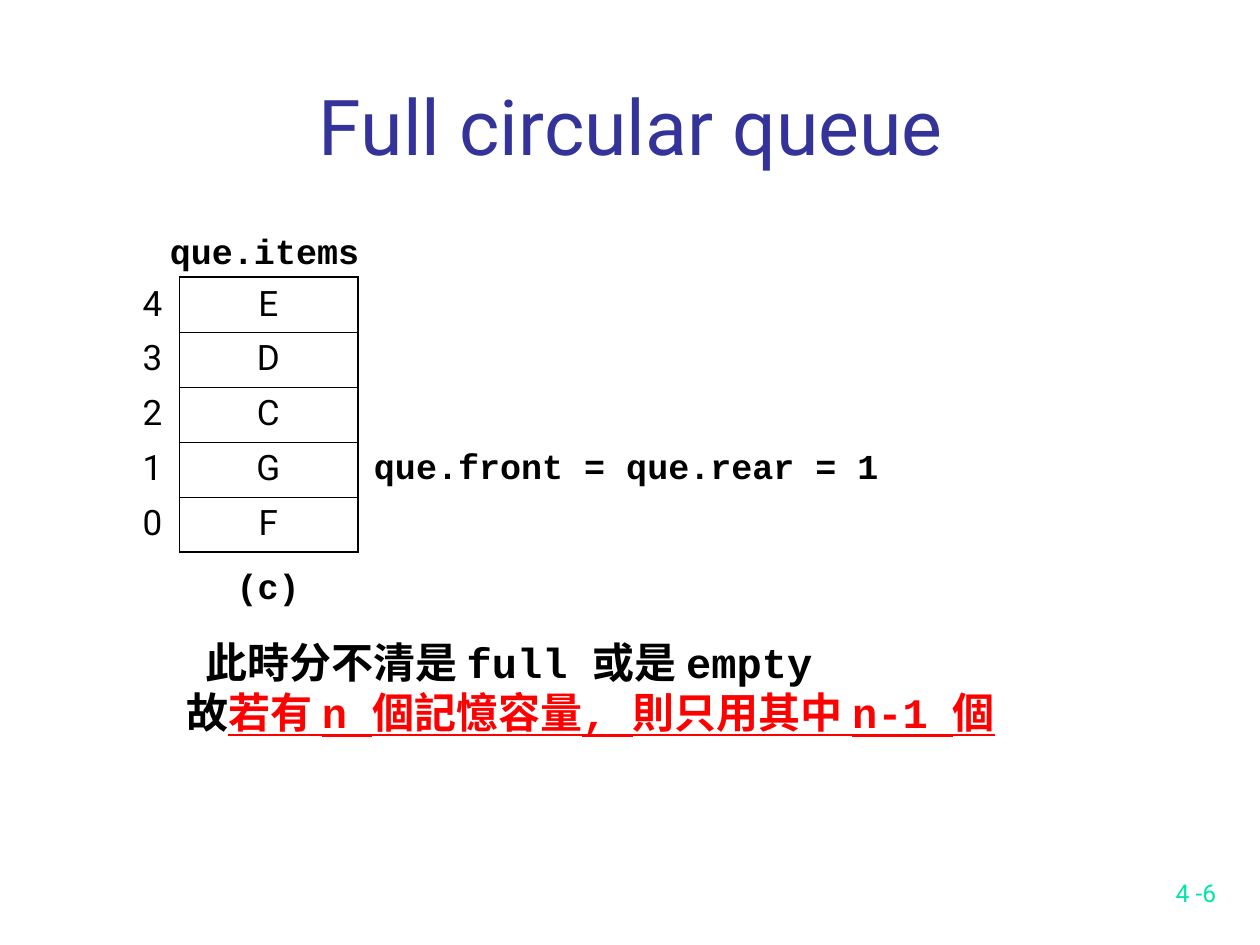
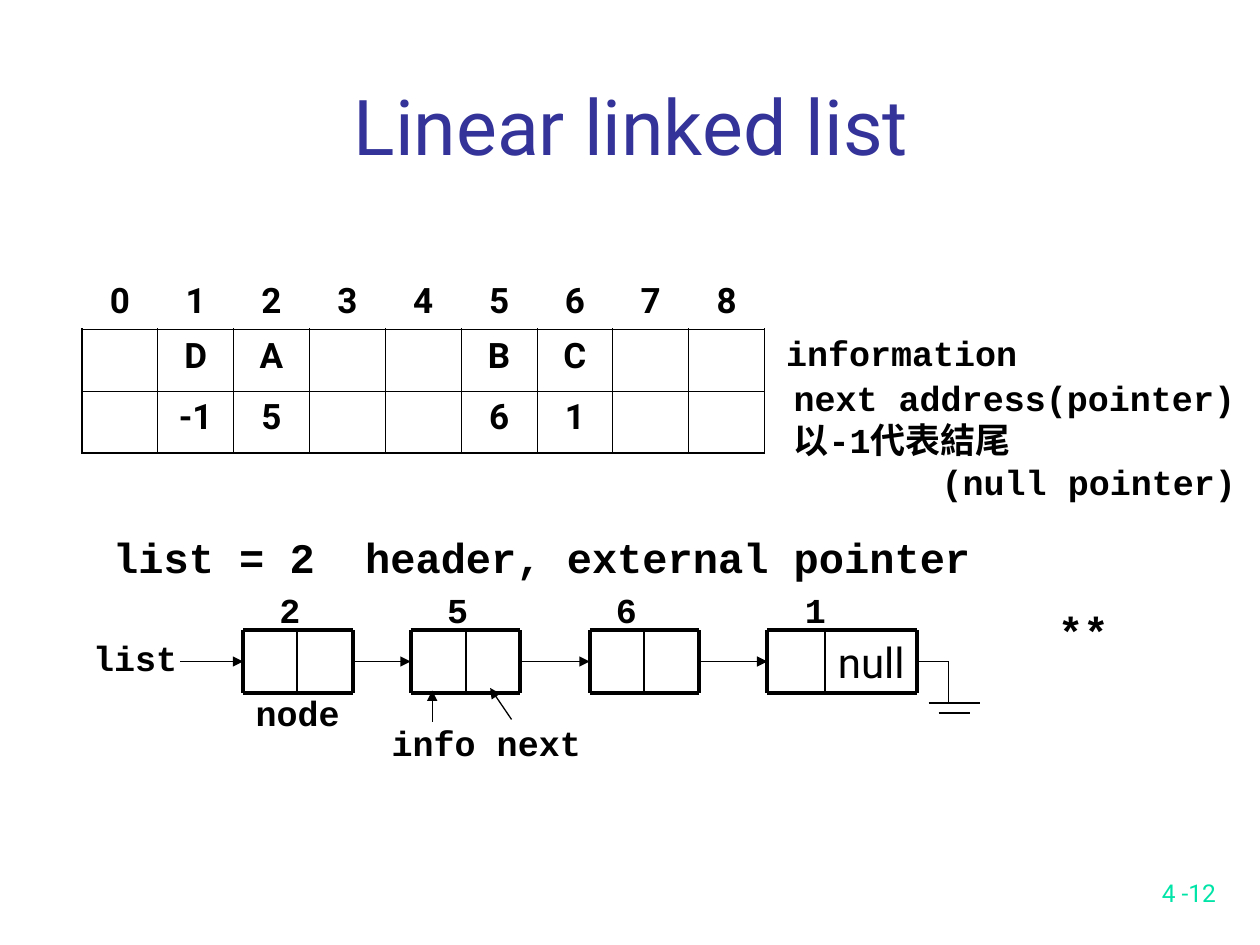
from lxml import etree
from pptx import Presentation
from pptx.dml.color import RGBColor
from pptx.enum import shapes, text
from pptx.oxml import ns
from pptx.util import Inches, Pt

BLACK = RGBColor(0, 0, 0)
TITLE_BLUE = RGBColor(0x33, 0x33, 0x99)
PAGE_GREEN = RGBColor(0, 0xE4, 0xA8)
RED = RGBColor(0xFF, 0, 0)
SANS, MONO = "Roboto", "Courier New"
THIN, THICK = 0.45, 1.08
NO_STYLE = "{2D5ABB26-0587-4C30-8999-92F81FD0307C}"
NODE_TOP, NODE_BOTTOM = 5, 5.5
NODE_MIDDLE = (NODE_TOP + NODE_BOTTOM) / 2


def sub(parent, tag, **attributes):
    return etree.SubElement(parent, ns.qn(tag), attributes)


def write(paragraph, words, font=MONO, size=20, color=BLACK, bold=True,
          underline=False, align=text.PP_ALIGN.LEFT):
    """Append a formatted run to a paragraph."""
    paragraph.alignment = align
    run = paragraph.add_run()
    run.text = words
    run.font.name, run.font.size = font, Pt(size)
    run.font.bold, run.font.underline = bold, underline
    run.font.color.rgb = color


def add_frame(slide, left, top, width, height, anchor=text.MSO_ANCHOR.TOP):
    frame = slide.shapes.add_textbox(
        Inches(left), Inches(top), Inches(width), Inches(height)).text_frame
    frame.word_wrap = True
    frame.vertical_anchor = anchor
    return frame


def add_label(slide, words, left, top, width, height=0.44, **style):
    paragraph = add_frame(slide, left, top, width, height).paragraphs[0]
    write(paragraph, words, **style)
    return paragraph


def add_slide(deck, heading, page):
    """Add a slide with its title and page number."""
    slide = deck.slides.add_slide(deck.slide_layouts[5])
    title = slide.shapes.title
    title.left, title.top = Inches(0.75), Inches(0.41)
    title.width, title.height = Inches(8.52), Inches(1)
    title.text_frame.vertical_anchor = text.MSO_ANCHOR.BOTTOM
    write(title.text_frame.paragraphs[0], heading, SANS, 44, TITLE_BLUE,
          bold=False, align=text.PP_ALIGN.CENTER)
    number = add_frame(slide, 7.67, 6.75, 2.08, 0.5, text.MSO_ANCHOR.BOTTOM)
    write(number.paragraphs[0], page, SANS, 14, PAGE_GREEN,
          bold=False, align=text.PP_ALIGN.RIGHT)
    return slide


def set_borders(cell, **widths):
    """Draw the sides L, R, T and B, given in that order, in points."""
    properties = cell._tc.get_or_add_tcPr()
    for side, width in widths.items():
        line = sub(properties, f"a:ln{side}", w=str(Pt(width)))
        sub(sub(line, "a:solidFill"), "a:srgbClr", val=str(BLACK))


def add_array(slide, rows, left, top, widths, heights, first_row=0,
              first_col=0, left_edge=THICK, bold=False):
    """Add a table whose cells from first_row and first_col on are ruled."""
    table = slide.shapes.add_table(
        len(rows), len(widths), Inches(left), Inches(top),
        Inches(sum(widths)), Inches(sum(heights))).table
    table.first_row = table.horz_banding = False
    table._tbl.tblPr.find(ns.qn("a:tableStyleId")).text = NO_STYLE
    for column, width in zip(table.columns, widths):
        column.width = Inches(width)
    for row, height in zip(table.rows, heights):
        row.height = Inches(height)
    last_row, last_col = len(rows) - 1, len(widths) - 1
    for r, values in enumerate(rows):
        for c, value in enumerate(values):
            cell = table.cell(r, c)
            if r >= first_row and c >= first_col:
                set_borders(cell,
                            L=left_edge if c == first_col else THIN,
                            R=THICK if c == last_col else THIN,
                            T=THICK if r == first_row else THIN,
                            B=THICK if r == last_row else THIN)
            cell.fill.background()
            if value:
                write(cell.text_frame.paragraphs[0], value, SANS, bold=bold,
                      align=text.PP_ALIGN.CENTER)


def add_line(slide, start, end, width=0.75, arrow=False):
    line = slide.shapes.add_connector(
        shapes.MSO_CONNECTOR.STRAIGHT, *map(Inches, start + end))
    line.line.color.rgb = BLACK
    line.line.width = Pt(width)
    if arrow:
        sub(line.line._get_or_add_ln(), "a:tailEnd", type="triangle")
    sub(line._element.spPr, "a:effectLst")


def add_node(slide, left, divider, right):
    """Rule a list node with its info and next fields."""
    for y in (NODE_TOP, NODE_BOTTOM):
        add_line(slide, (left, y), (right, y), 2.25)
    for x, width in ((left, 2.25), (divider, 1), (right, 2.25)):
        add_line(slide, (x, NODE_TOP), (x, NODE_BOTTOM), width)


def add_linked_list(slide):
    nodes = [(1.93, 2.36, 2.8), (3.26, 3.7, 4.13),
             (4.68, 5.11, 5.55), (6.09, 6.55, 7.28)]
    addresses = [("2", 2.12), ("5", 3.45), ("6", 4.79), ("1", 6.29)]
    arrow_start = 1.43
    for left, divider, right in nodes:
        add_node(slide, left, divider, right)
        add_line(slide, (arrow_start, NODE_MIDDLE), (left, NODE_MIDDLE),
                 arrow=True)
        arrow_start = right
    for address, left in addresses:
        add_label(slide, address, left, 4.62, 0.4)
    add_label(slide, "null", 6.55, NODE_TOP, 0.73, 0.5, font=SANS, size=24,
              bold=False, align=text.PP_ALIGN.CENTER)

    ground_x, ground_y = 7.53, 5.58
    add_line(slide, (arrow_start, NODE_MIDDLE), (ground_x, NODE_MIDDLE))
    add_line(slide, (ground_x, NODE_MIDDLE), (ground_x, ground_y))
    add_line(slide, (7.37, ground_y), (7.78, ground_y))
    add_line(slide, (7.45, 5.66), (7.7, 5.66))

    add_label(slide, "list", 0.64, 5, 0.9)
    add_label(slide, "node", 1.93, 5.44, 0.9)
    add_label(slide, "info next", 3.01, 5.68, 1.75)
    add_line(slide, (3.43, 5.73), (3.43, 5.48), arrow=True)
    add_line(slide, (4.06, 5.71), (3.89, 5.46), arrow=True)


def build_circular_queue(deck):
    slide = add_slide(deck, "Full circular queue", "4 -6")
    items = [(str(4 - i), item) for i, item in enumerate("EDCGF")]
    add_array(slide, items, 1, 2.2, [0.42, 1.42], [2.18 / 5] * 5,
              first_col=1, left_edge=THIN)
    add_label(slide, "que.items", 1.25, 1.77, 1.75)
    add_label(slide, "(c)", 1.78, 4.43, 0.75)
    add_label(slide, "que.front = que.rear = 1", 2.87, 3.48, 4.3)

    remark = add_frame(slide, 1.38, 5, 7.4, 0.9)
    problem, remedy = remark.paragraphs[0], remark.add_paragraph()
    problem._p.get_or_add_pPr().set("marL", str(Inches(0.15)))
    write(problem, "此時分不清是 full 或是 empty", size=24)
    write(remedy, "故", size=24)
    write(remedy, "若有 n 個記憶容量, 則只用其中 n-1 個", size=24, color=RED,
          underline=True)


def build_linear_list(deck):
    slide = add_slide(deck, "Linear linked list", "4 -12")
    memory = {1: ("D", "-1"), 2: ("A", "5"), 5: ("B", "6"), 6: ("C", "1")}
    columns = [(str(i), *memory.get(i, ("", ""))) for i in range(9)]
    add_array(slide, list(zip(*columns)), 0.65, 2.18, [5.42 / 9] * 9,
              [0.43, 0.49, 0.49], first_row=1, bold=True)
    add_label(slide, "information", 6.14, 2.58, 2.1)

    pointer_note = add_frame(slide, 6.2, 2.94, 3.71, 1.1)
    write(pointer_note.paragraphs[0], "next address(pointer)")
    write(pointer_note.add_paragraph(), "以-1代表結尾")
    write(pointer_note.add_paragraph(), "(null pointer)",
          align=text.PP_ALIGN.RIGHT)

    header = add_label(slide, "list = 2\theader, external pointer",
                       0.8, 4.17, 7.1, 0.5, size=24)
    stops = sub(header._p.get_or_add_pPr(), "a:tabLst")
    sub(stops, "a:tab", pos=str(Inches(2)), algn="l")
    add_linked_list(slide)
    add_label(slide, "**", 8.3, 4.76, 0.65, 0.5, size=24)


def main():
    deck = Presentation()
    deck.slide_width, deck.slide_height = Inches(10), Inches(7.5)
    build_circular_queue(deck)
    build_linear_list(deck)
    deck.save("out.pptx")


if __name__ == "__main__":
    main()
